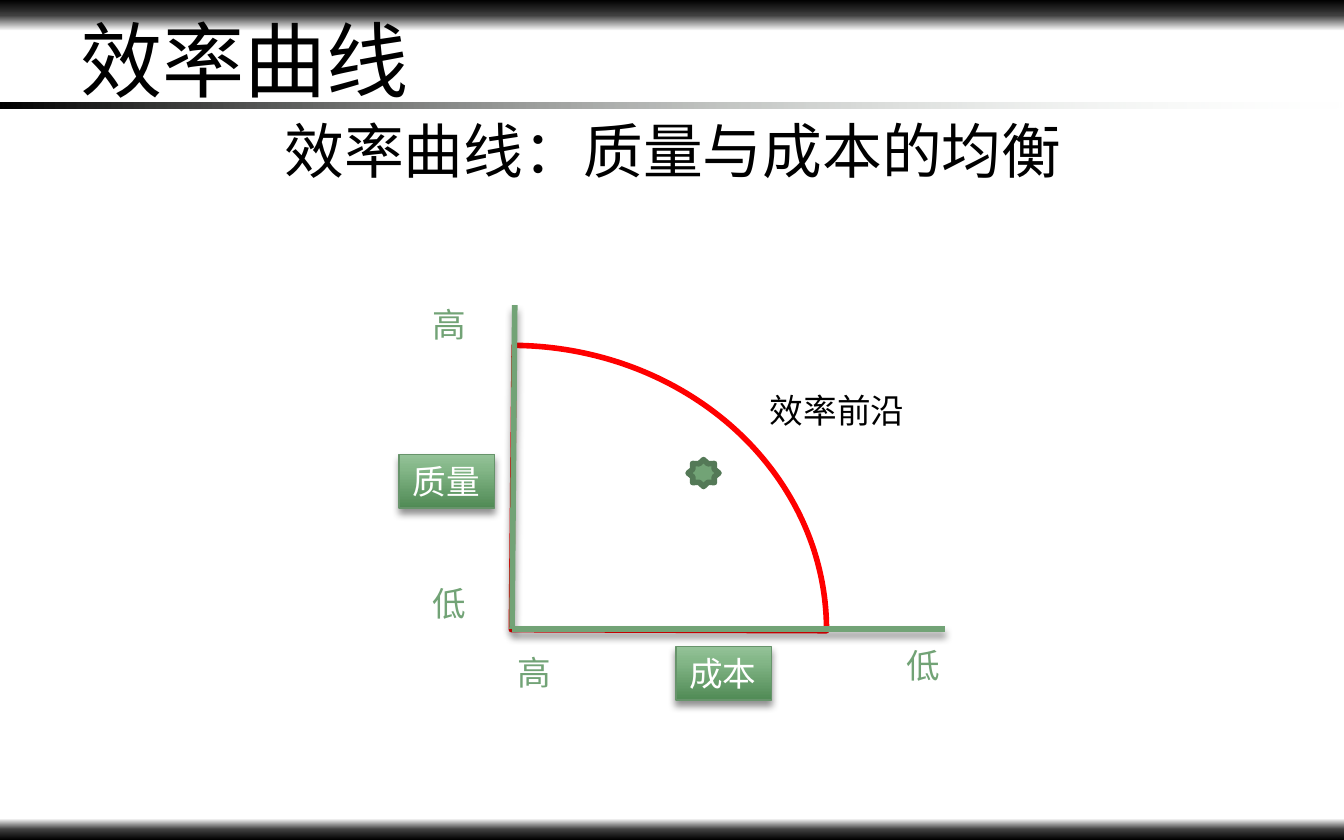
import dataclasses
import typing

import lxml.etree
import pptx
import pptx.dml.color
import pptx.enum.shapes
import pptx.enum.text
import pptx.oxml.ns
import pptx.util

RGB = pptx.dml.color.RGBColor
SHAPE = pptx.enum.shapes.MSO_SHAPE
ALIGN = pptx.enum.text.PP_ALIGN
ANCHOR = pptx.enum.text.MSO_ANCHOR
AUTO_SIZE = pptx.enum.text.MSO_AUTO_SIZE
qn = pptx.oxml.ns.qn

BLACK = RGB(0x00, 0x00, 0x00)
CHARCOAL = RGB(0x40, 0x40, 0x40)
WHITE = RGB(0xFF, 0xFF, 0xFF)
RED = RGB(0xFF, 0x00, 0x00)
GREEN = RGB(0x72, 0xA3, 0x76)
STAR_EDGE = RGB(0x54, 0x79, 0x57)
BOX_EDGE = RGB(0x67, 0x94, 0x6B)
BOX_DARK = RGB(0x50, 0x8A, 0x55)
BOX_MID = RGB(0x83, 0xB6, 0x87)
BOX_LIGHT = RGB(0x94, 0xC2, 0x98)
PALE = RGB(0xE6, 0xEF, 0xE7)

CELL = pptx.util.Inches(0.1)
COLUMNS, ROWS = 100, 62.5
LABEL_HEIGHT = 4
ORIGIN = (38.1, 46.8)
HEADING_FONT = "Noto Sans CJK SC"
LABEL_FONT = "Calibri"


class Area(typing.NamedTuple):
    column: float
    row: float
    columns: float
    rows: float


class Stop(typing.NamedTuple):
    percent: int
    color: RGB
    opacity: int = 100


@dataclasses.dataclass(frozen=True)
class Gradient:
    stops: tuple[Stop, ...]
    angle: int


@dataclasses.dataclass(frozen=True)
class Figure:
    kind: SHAPE
    area: Area
    fill: RGB | Gradient
    edge: RGB | None = None
    edge_width: float = 0
    adjustments: tuple[float, ...] = ()
    shadowed: bool = False


@dataclasses.dataclass(frozen=True)
class Label:
    text: str
    area: Area
    color: RGB = GREEN
    font: str = LABEL_FONT
    size: int = 18
    frame: dict = dataclasses.field(default_factory=lambda: {
        "word_wrap": False, "auto_size": AUTO_SIZE.SHAPE_TO_FIT_TEXT})
    para: dict = dataclasses.field(default_factory=lambda: {"alignment": ALIGN.LEFT})


def cells(*values: float) -> list[int]:
    return [round(value * CELL) for value in values]


def apply(target: typing.Any, values: dict) -> None:
    for name, value in values.items():
        setattr(target, name, value)


def add_child(parent: typing.Any, tag: str, **attributes: typing.Any) -> typing.Any:
    return lxml.etree.SubElement(
        parent, qn(tag), {name: str(value) for name, value in attributes.items()})


def add_color(parent: typing.Any, color: RGB, opacity: int) -> None:
    node = add_child(parent, "a:srgbClr", val=color)
    if opacity < 100:
        add_child(node, "a:alpha", val=opacity * 1000)


def set_effects(shape: typing.Any, shadowed: bool) -> None:
    effects = add_child(shape._element.spPr, "a:effectLst")
    if shadowed:
        shadow = add_child(effects, "a:outerShdw", blurRad=pptx.util.Pt(4),
                           dist=pptx.util.Pt(3), dir=90 * 60000, rotWithShape=0)
        add_color(shadow, BLACK, 43)


def set_fill(shape: typing.Any, fill: RGB | Gradient) -> None:
    if isinstance(fill, RGB):
        shape.fill.solid()
        shape.fill.fore_color.rgb = fill
        return
    shape.fill.gradient()
    shape.fill.gradient_angle = (360 - fill.angle) % 360
    stops = shape._element.spPr.find(qn("a:gradFill")).find(qn("a:gsLst"))
    for old in list(stops):
        stops.remove(old)
    for stop in fill.stops:
        node = add_child(stops, "a:gs", pos=stop.percent * 1000)
        add_color(node, stop.color, stop.opacity)


def draw_figure(page: typing.Any, figure: Figure) -> typing.Any:
    shape = page.shapes.add_shape(figure.kind, *cells(*figure.area))
    for index, value in enumerate(figure.adjustments):
        shape.adjustments[index] = value
    set_fill(shape, figure.fill)
    if figure.edge is None:
        shape.line.fill.background()
    else:
        shape.line.color.rgb = figure.edge
        shape.line.width = pptx.util.Pt(figure.edge_width)
    set_effects(shape, figure.shadowed)
    return shape


def write(box: typing.Any, label: Label) -> None:
    apply(box.text_frame, label.frame)
    para = box.text_frame.paragraphs[0]
    apply(para, label.para)
    span = para.add_run()
    span.text = label.text
    apply(span.font, {"name": label.font, "size": pptx.util.Pt(label.size)})
    span.font.color.rgb = label.color
    add_child(span.font._element, "a:ea", typeface=label.font)


def draw_label(page: typing.Any, label: Label) -> None:
    write(page.shapes.add_textbox(*cells(*label.area)), label)


def draw_box(page: typing.Any, label: Label) -> None:
    stops = (Stop(0, BOX_DARK), Stop(72, BOX_MID), Stop(100, BOX_LIGHT))
    figure = Figure(SHAPE.RECTANGLE, label.area, Gradient(stops, 270),
                    BOX_EDGE, 0.75, shadowed=True)
    write(draw_figure(page, figure), label)


def draw_axis(page: typing.Any, end: tuple[float, float]) -> None:
    axis = page.shapes.add_connector(
        pptx.enum.shapes.MSO_CONNECTOR.STRAIGHT, *cells(*ORIGIN, *end))
    axis.line.color.rgb = GREEN
    axis.line.width = pptx.util.Pt(3)
    set_effects(axis, True)


EDGE_STOPS = (Stop(0, BLACK), Stop(50, CHARCOAL), Stop(100, WHITE))
BANDS = (
    Figure(SHAPE.RECTANGLE, Area(0, 0, COLUMNS, 2.3), Gradient(EDGE_STOPS, 90)),
    Figure(SHAPE.RECTANGLE, Area(0, ROWS - 1.6, COLUMNS, 1.6), Gradient(EDGE_STOPS, 270)),
    Figure(SHAPE.RECTANGLE, Area(0, 7.6, COLUMNS, 0.5),
           Gradient((Stop(0, BLACK), Stop(100, PALE, 0)), 0)),
)
HEADINGS = (
    Label("效率曲线", Area(5, 1.7, 90, 5.3), BLACK, HEADING_FONT, 44,
          {"word_wrap": True, "vertical_anchor": ANCHOR.MIDDLE}),
    Label("效率曲线：质量与成本的均衡", Area(5.1, 8.6, 90, 51.6), BLACK, HEADING_FONT, 32,
          {"word_wrap": True, "vertical_anchor": ANCHOR.TOP},
          {"alignment": ALIGN.CENTER, "line_spacing": 0.9}),
)
FRONTIER = Figure(SHAPE.PIE, Area(14.6, 25.7, 46.9, 42.3), WHITE, RED, 3, (162.34, 0.12))
POSITION = Figure(SHAPE.STAR_8_POINT, Area(51.2, 34.2, 2.3, 2), GREEN, STAR_EDGE, 3)
AXIS_ENDS = ((38.3, 22.7), (70.3, 46.8))
AXIS_NAMES = (
    Label("成本", Area(50.3, 48.1, 7.1, LABEL_HEIGHT), WHITE),
    Label("质量", Area(29.7, 33.8, 7.1, LABEL_HEIGHT), WHITE),
)
SCALE_LABELS = (
    Label("高", Area(37.5, 48, 4.5, LABEL_HEIGHT)),
    Label("低", Area(66.5, 47.5, 4.5, LABEL_HEIGHT)),
    Label("低", Area(31.2, 42.9, 4.5, LABEL_HEIGHT)),
    Label("高", Area(31.2, 22.1, 4.5, LABEL_HEIGHT)),
    Label("效率前沿", Area(56.3, 28.5, 12.1, LABEL_HEIGHT), BLACK, HEADING_FONT),
)


def main() -> None:
    deck = pptx.Presentation()
    width, height = cells(COLUMNS, ROWS)
    apply(deck, {"slide_width": width, "slide_height": height})
    page = deck.slides.add_slide(deck.slide_layouts[6])
    for band in BANDS:
        draw_figure(page, band)
    for heading in HEADINGS:
        draw_label(page, heading)
    draw_figure(page, FRONTIER)
    for end in AXIS_ENDS:
        draw_axis(page, end)
    for name in AXIS_NAMES:
        draw_box(page, name)
    for label in SCALE_LABELS:
        draw_label(page, label)
    draw_figure(page, POSITION)
    deck.save("out.pptx")


if __name__ == "__main__":
    main()
